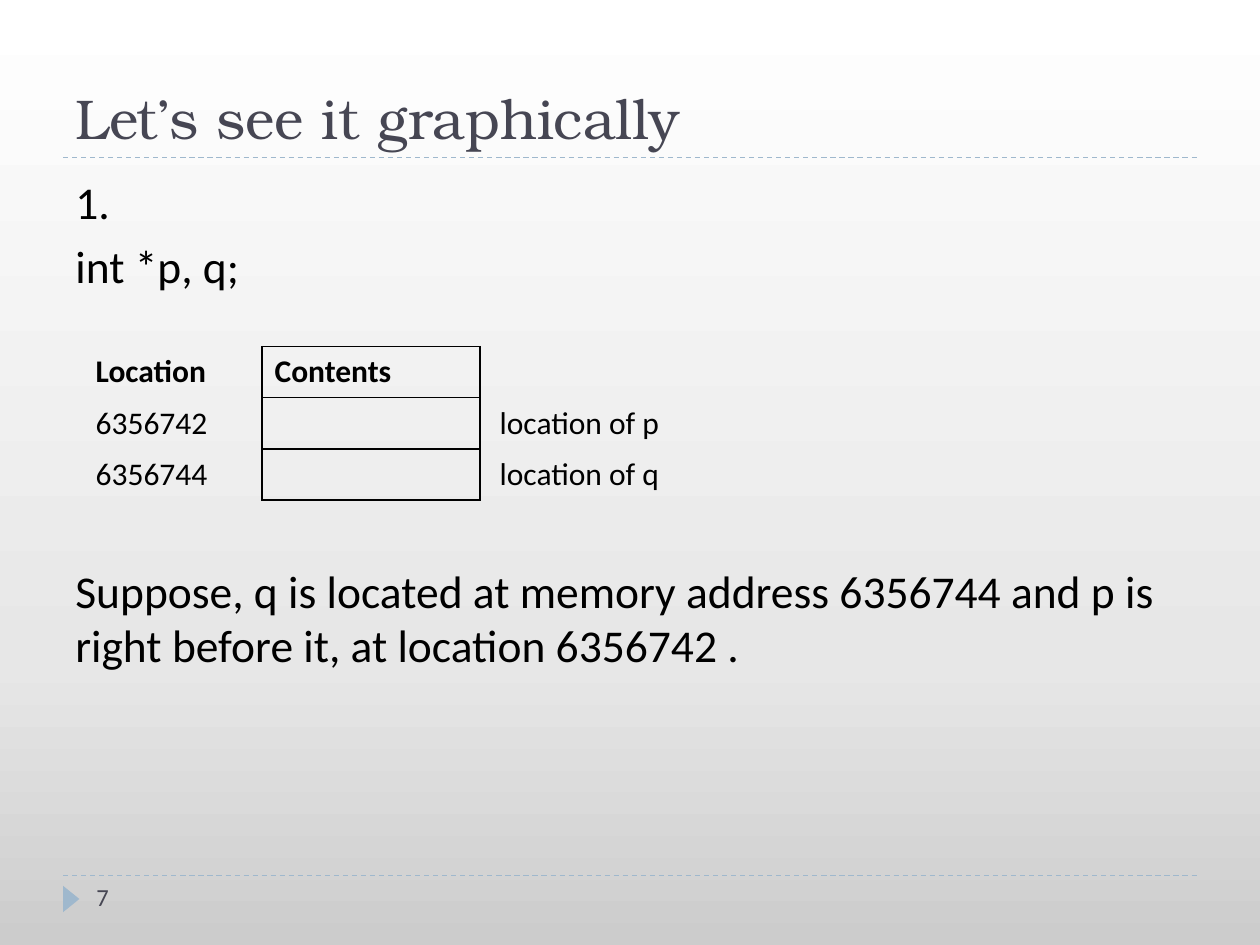
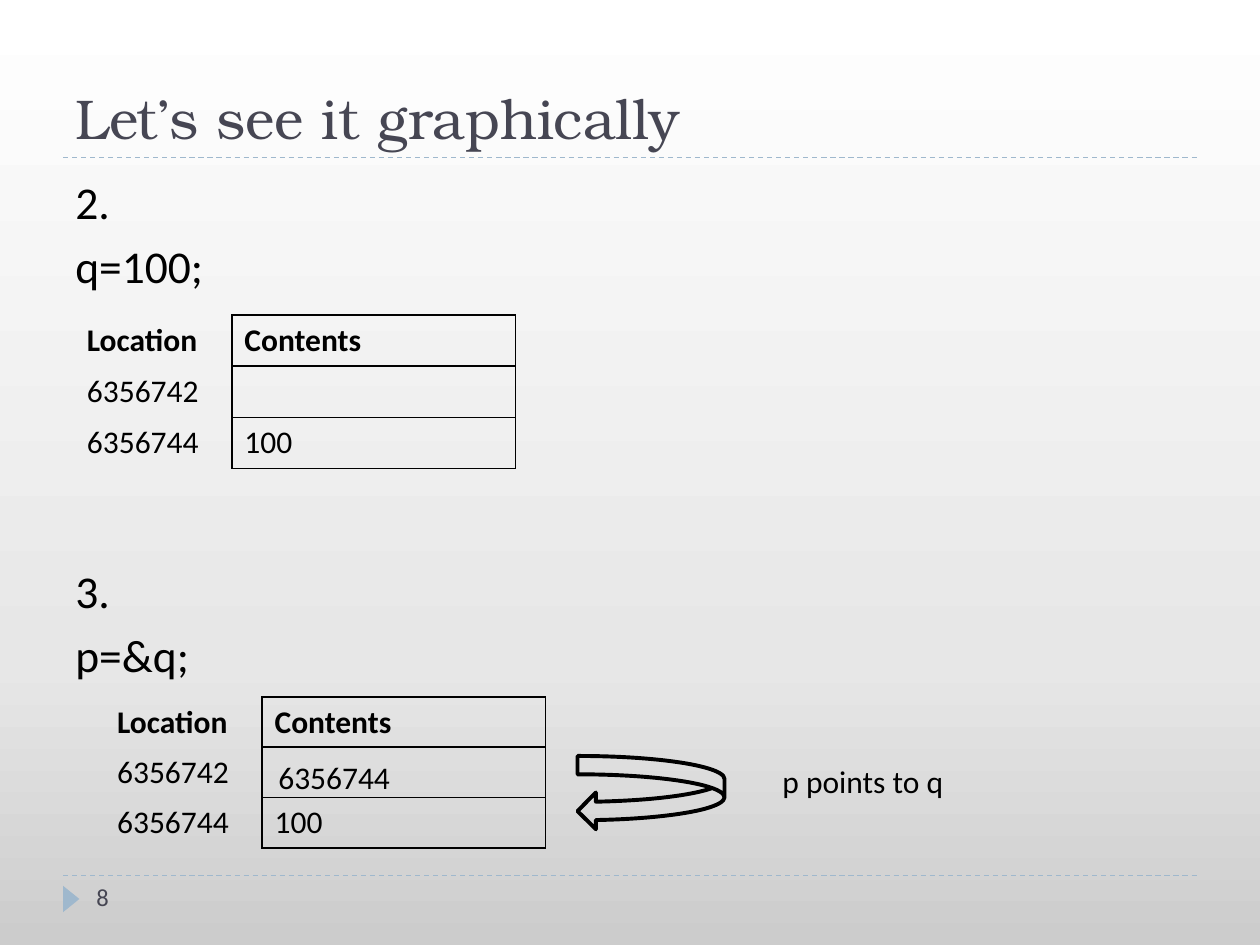
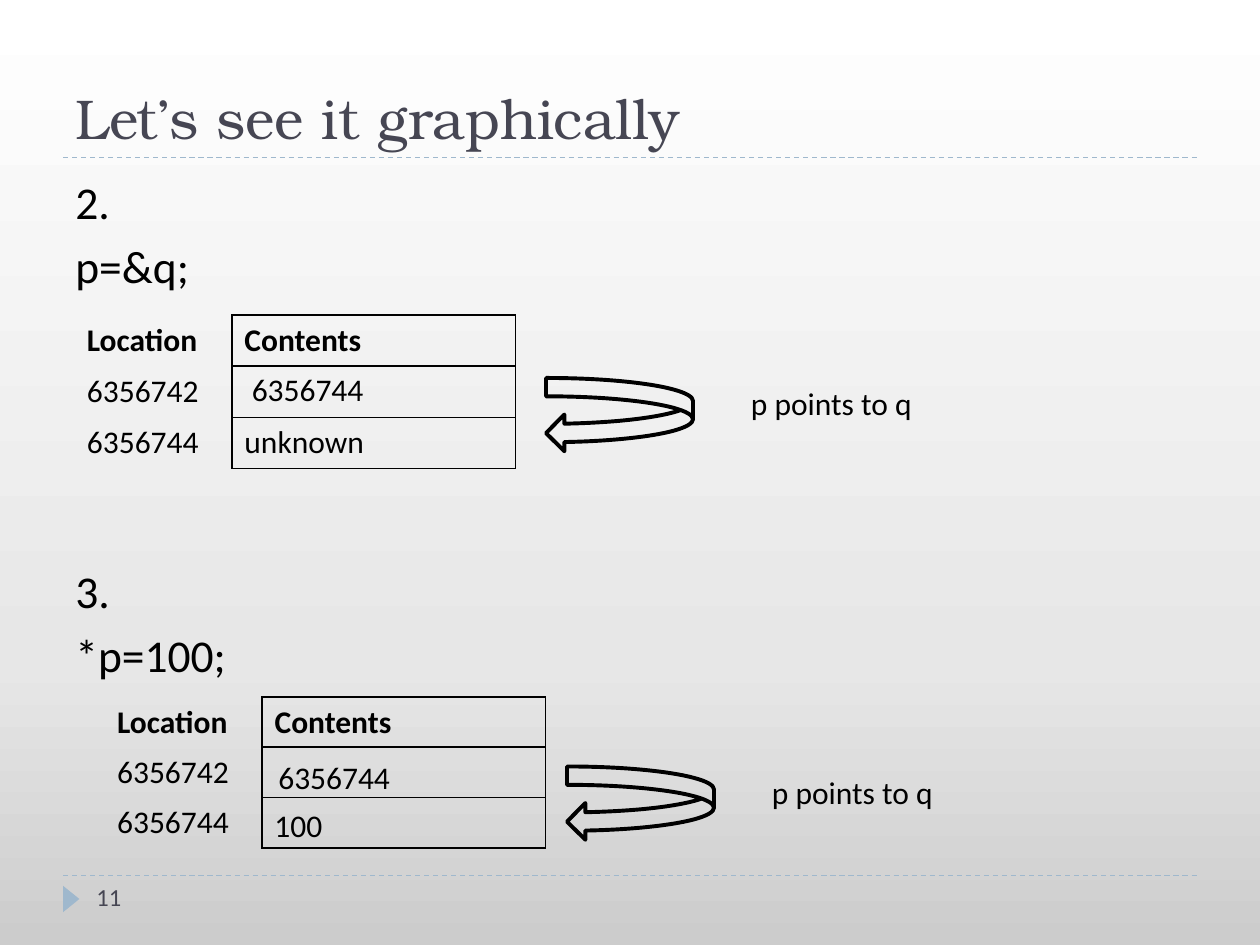
import copy

import pptx
import pptx.dml.color
import pptx.enum.dml
import pptx.enum.shapes
import pptx.enum.text
import pptx.util
from pptx.oxml import parse_xml
from pptx.oxml.ns import nsdecls, qn

Pt = pptx.util.Pt
SHAPES = pptx.enum.shapes.MSO_SHAPE
ANCHOR = pptx.enum.text.MSO_ANCHOR

# Shared look
TITLE_FONT, BODY_FONT = "TeX Gyre Bonum", "Calibri"
INK, BLACK, ACCENT = "464653", "000000", "9FB8CD"
BACKGROUND = [(0, "CCCCCC"), (0.3, "E7E7E7"), (1, "FFFFFF")]
NO_TABLE_STYLE = "{2D5ABB26-0587-4C30-8999-92F81FD0307C}"
MARGIN, CONTENT_WIDTH = 36, 648
TITLE_BOX = (MARGIN, 12.24, CONTENT_WIDTH, 77.76)
BODY_BOX = (MARGIN, 95.76, CONTENT_WIDTH, 388.8)
NUMBER_BOX = (48, 500.4, 156, 28.8)
RULE_TOPS = (500.4, 90)
PARAGRAPH_GAP, TABLE_GAP = 5.5, 154.5

# Tables on the slides with two steps
UPPER_TABLE = (42.5, 180, 252, 87.84)
LOWER_TABLE = (59.75, 398.16, 252, 86.4)
STEP_COLUMNS = (90, 162)
HEADINGS = ("Location", "Contents")
P_ADDRESS, Q_ADDRESS = "6356742", "6356744"


def color(hex_text):
    return pptx.dml.color.RGBColor.from_string(hex_text)


def points(values):
    return [Pt(value) for value in values]


def write_text(frame, text, size=18, font=BODY_FONT, ink=BLACK, bold=False,
               gaps=(), wrap=True, anchor=ANCHOR.TOP):
    """Write one paragraph per line, with gaps as the space before each."""
    frame.word_wrap = wrap
    frame.vertical_anchor = anchor
    for index, line in enumerate(text.split("\n")):
        paragraph = frame.paragraphs[0] if index == 0 else frame.add_paragraph()
        paragraph.alignment = pptx.enum.text.PP_ALIGN.LEFT
        if gaps:
            paragraph.space_before = Pt(gaps[index])
        run = paragraph.add_run()
        run.text = line
        run.font.size = Pt(size)
        run.font.name = font
        run.font.bold = bold
        run.font.color.rgb = color(ink)


def add_text(slide, box, text, **text_format):
    write_text(slide.shapes.add_textbox(*points(box)).text_frame,
               text, **text_format)


def add_preset(slide, preset, box):
    shape = slide.shapes.add_shape(preset, *points(box))
    shape.shadow.inherit = False
    return shape


def set_background(master):
    fill = master.background.fill
    fill.gradient()
    fill.gradient_angle = 90
    stop_list = master.element.find(".//" + qn("a:gsLst"))
    stop_list.append(copy.deepcopy(stop_list[-1]))
    for stop, (position, shade) in zip(fill.gradient_stops, BACKGROUND):
        stop.position = position
        stop.color.rgb = color(shade)


def add_rule(slide, top):
    rule = slide.shapes.add_connector(
        pptx.enum.shapes.MSO_CONNECTOR.STRAIGHT,
        *points((MARGIN, top, MARGIN + CONTENT_WIDTH, top)))
    rule.line.color.rgb = color(ACCENT)
    rule.line.width = Pt(0.75)
    rule.line.dash_style = pptx.enum.dml.MSO_LINE.DASH
    rule.element.spPr.append(parse_xml(f"<a:effectLst {nsdecls('a')}/>"))


def add_slide(presentation, number):
    """Add a slide with its title, rules and footer."""
    slide = presentation.slides.add_slide(presentation.slide_layouts[5])
    for top in RULE_TOPS:
        add_rule(slide, top)

    # Footer marker and page number
    marker = add_preset(slide, SHAPES.ISOSCELES_TRIANGLE,
                        (33.12, 509.04, 15.12, 9.36))
    marker.rotation = 90
    marker.fill.solid()
    marker.fill.fore_color.rgb = color(ACCENT)
    marker.line.fill.background()
    add_text(slide, NUMBER_BOX, str(number), size=14, ink=INK)

    # Title
    title = slide.shapes.title
    title.left, title.top, title.width, title.height = points(TITLE_BOX)
    title.text_frame.auto_size = pptx.enum.text.MSO_AUTO_SIZE.NONE
    write_text(title.text_frame, "Let\u2019s see it graphically", size=32,
               font=TITLE_FONT, ink=INK, anchor=ANCHOR.BOTTOM)
    return slide


def add_body(slide, upper, lower):
    """Write the text above and below the upper table."""
    upper_lines, lower_lines = upper.split("\n"), lower.split("\n")
    gaps = [PARAGRAPH_GAP] * len(upper_lines + lower_lines)
    gaps[len(upper_lines)] = TABLE_GAP
    add_text(slide, BODY_BOX, upper + "\n" + lower, size=26, gaps=gaps)


def add_borders(cell, sides):
    properties = cell._tc.get_or_add_tcPr()
    for side in sides:
        properties.append(parse_xml(
            f'<a:ln{side} {nsdecls("a")} w="12700"><a:solidFill>'
            f'<a:srgbClr val="{BLACK}"/></a:solidFill></a:ln{side}>'))


def add_memory_table(slide, box, column_widths, rows):
    """Draw a memory map whose second column is boxed."""
    rows = [HEADINGS, *rows]
    table = slide.shapes.add_table(len(rows), len(column_widths),
                                   *points(box)).table
    table.first_row = table.horz_banding = False
    table._tbl.tblPr.find(qn("a:tableStyleId")).text = NO_TABLE_STYLE
    for column, width in zip(table.columns, column_widths):
        column.width = Pt(width)
    for row_index, row in enumerate(rows):
        table.rows[row_index].height = Pt(box[3] / len(rows))
        for column_index in range(len(column_widths)):
            cell = table.cell(row_index, column_index)
            add_borders(cell, ("R", "LRTB", "L")[column_index])
            cell.fill.background()
            text = row[column_index] if column_index < len(row) else ""
            if text:
                write_text(cell.text_frame, text, bold=row_index == 0)


def add_pointer(slide, left, top):
    """Draw the arrow from p to q with its label."""
    arrow = add_preset(slide, SHAPES.CURVED_LEFT_ARROW, (left, top, 84, 42))
    arrow.fill.background()
    arrow.line.color.rgb = color(BLACK)
    arrow.line.width = Pt(2.25)
    add_text(slide, (left + 110, top, 108.72, 28.8), "p points to q", wrap=False)


def add_value(slide, left, top, text, width=80):
    add_text(slide, (left, top, width, 28.8), text, wrap=False)


def declaration_slide(presentation):
    slide = add_slide(presentation, 7)
    add_body(slide, "1.\nint *p, q;",
             "Suppose, q is located at memory address 6356744 and p is "
             "right before it, at location 6356742 .")
    add_memory_table(slide, (47.5, 198, 372.24, 87.84), (102.24, 124.56, 145.44),
                     [(P_ADDRESS, "", " location of p"),
                      (Q_ADDRESS, "", " location of q")])


def steps_slide(presentation, number, upper, lower, upper_q, lower_q):
    """Show two steps, each with its memory map."""
    slide = add_slide(presentation, number)
    add_body(slide, upper, lower)
    for box, q_value in ((UPPER_TABLE, upper_q), (LOWER_TABLE, lower_q)):
        add_memory_table(slide, box, STEP_COLUMNS,
                         [(P_ADDRESS,), (Q_ADDRESS, q_value)])
    add_value(slide, 152, 429.84, Q_ADDRESS)
    return slide


presentation = pptx.Presentation()
presentation.slide_width, presentation.slide_height = Pt(720), Pt(540)
set_background(presentation.slide_master)

declaration_slide(presentation)

assign_first = steps_slide(presentation, 8, "2.\nq=100;", "3.\np=&q;",
                           "100", "100")
add_pointer(assign_first, 330, 432)

point_first = steps_slide(presentation, 11, "2.\np=&q;", "3.\n*p=100;",
                          "unknown", "")
add_value(point_first, 136.8, 208.08, Q_ADDRESS)
add_value(point_first, 149.76, 457.2, "100", width=41.76)
add_pointer(point_first, 312, 216)
add_pointer(point_first, 324, 438)

presentation.save("out.pptx")
